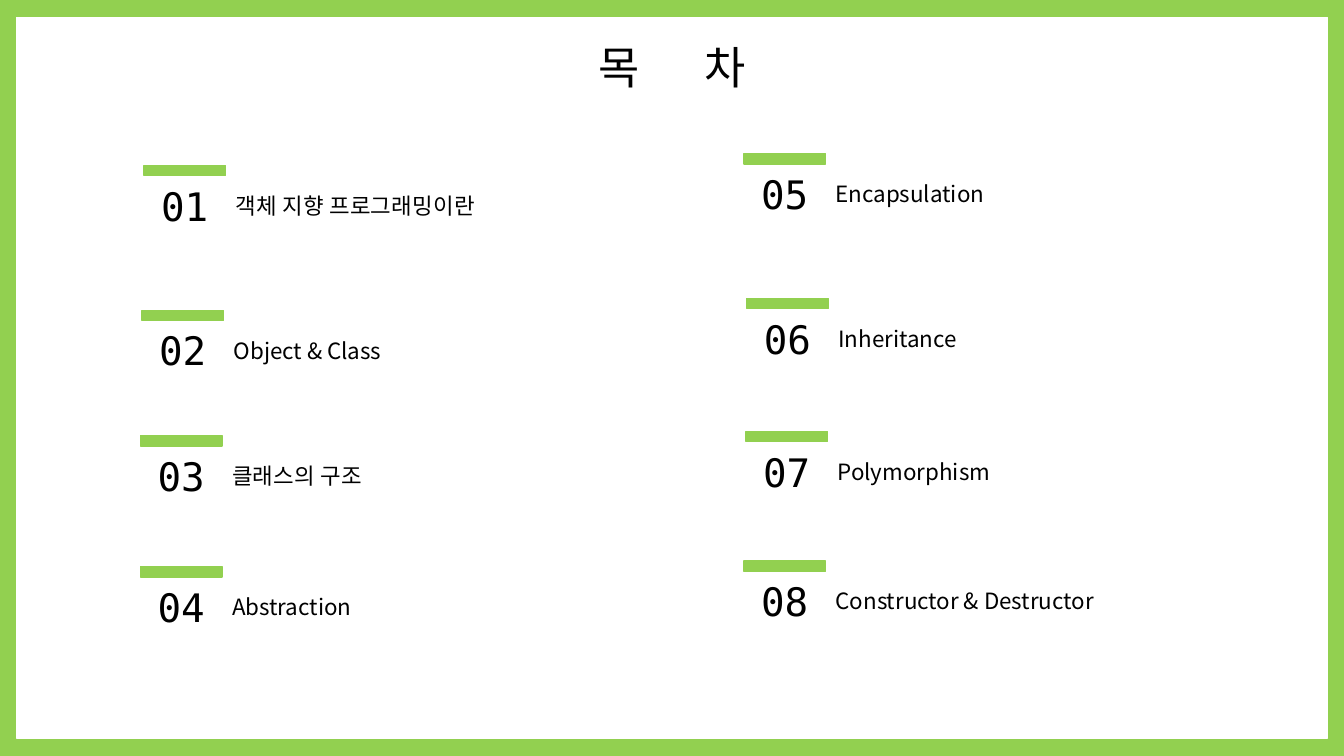
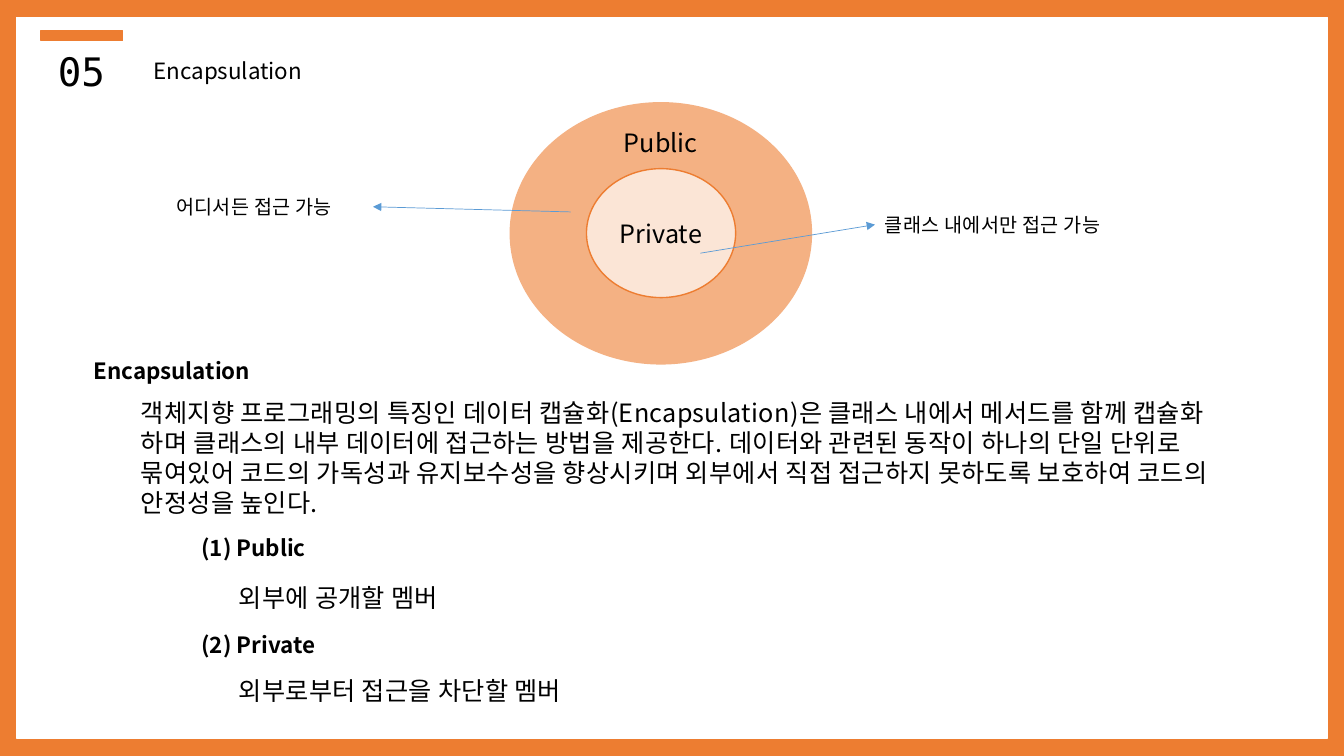
"""Build a contents slide and an encapsulation slide that share one frame and heading style."""
from pptx import Presentation
from pptx.dml.color import RGBColor
from pptx.enum.shapes import MSO_CONNECTOR, MSO_SHAPE
from pptx.enum.text import MSO_ANCHOR, MSO_AUTO_SIZE, PP_ALIGN
from pptx.oxml.ns import qn
from pptx.util import Cm, Pt
from lxml.etree import SubElement

WIDE, HIGH = 33.87, 19.05
EDGE = 0.41
HUES = {
    "green": "92D050",
    "orange": "ED7D31",
    "peach": "F4B183",
    "cream": "FBE5D6",
    "blue": "5B9BD5",
    "white": "FFFFFF",
    "black": "000000",
}
SANS, MONO = "Noto Sans CJK KR", "DejaVu Sans Mono"
FONTS = {
    "title": {"name": SANS, "size": Pt(32)},
    "number": {"name": MONO, "size": Pt(28)},
    "label": {"name": SANS, "size": Pt(16)},
    "head": {"name": SANS, "size": Pt(16), "bold": True},
    "body": {"name": SANS, "size": Pt(18)},
    "note": {"name": SANS, "size": Pt(14)},
}
TOPICS = [
    (3.63, 4.17, "객체 지향 프로그래밍이란", 7.37),
    (3.58, 7.82, "Object & Class", 7.37),
    (3.54, 10.98, "클래스의 구조", 7.37),
    (3.54, 14.28, "Abstraction", 7.37),
    (18.75, 3.87, "Encapsulation", 7.37),
    (18.82, 7.52, "Inheritance", 7.37),
    (18.8, 10.87, "Polymorphism", 7.37),
    (18.75, 14.14, "Constructor & Destructor", 9.98),
]
POINTS = [
    (13.34, 14.55, "(1) Public", "외부에 공개할 멤버"),
    (15.77, 16.89, "(2) Private", "외부로부터 접근을 차단할 멤버"),
]
STORY = (
    "객체지향 프로그래밍의 특징인 데이터 캡슐화(Encapsulation)은 클래스 내에서 메서드를 함께 캡슐화 "
    "하며 클래스의 내부 데이터에 접근하는 방법을 제공한다. 데이터와 관련된 동작이 하나의 단일 단위로 "
    "묶여있어 코드의 가독성과 유지보수성을 향상시키며 외부에서 직접 접근하지 못하도록 보호하여 코드의 "
    "안정성을 높인다."
)


def tint(hue):
    return RGBColor.from_string(HUES[hue])


def write(para, text, style, gap=0):
    run = para.add_run()
    run.text = text
    for key, value in FONTS[style].items():
        setattr(run.font, key, value)
    run.font.color.rgb = tint("black")
    props = run.font._element
    SubElement(props, qn("a:ea")).set("typeface", FONTS[style]["name"])
    if gap:
        props.set("spc", str(gap))


def add_text(shapes, place, text, style, align=PP_ALIGN.LEFT):
    box = shapes.add_textbox(*map(Cm, place))
    frame = box.text_frame
    frame.word_wrap = True
    frame.auto_size = MSO_AUTO_SIZE.SHAPE_TO_FIT_TEXT
    para = frame.paragraphs[0]
    para.alignment = align
    if text:
        hangul = max(text) >= "가"
        write(para, text, style, gap=20 if hangul else 0)
    return box


def add_form(shapes, kind, place, fill, line=None):
    form = shapes.add_shape(kind, *map(Cm, place))
    form.shadow.inherit = False
    form.fill.solid()
    form.fill.fore_color.rgb = tint(fill)
    if line:
        form.line.color.rgb = tint(line)
        form.line.width = Pt(1)
    else:
        form.line.fill.background()
    return form


def add_arrow(shapes, start, end):
    arrow = shapes.add_connector(MSO_CONNECTOR.STRAIGHT, *map(Cm, start + end))
    arrow.line.color.rgb = tint("blue")
    arrow.line.width = Pt(0.5)
    SubElement(arrow.line._get_or_add_ln(), qn("a:tailEnd")).set("type", "triangle")
    SubElement(arrow._element.spPr, qn("a:effectLst"))
    return arrow


def add_entry(shapes, x, y, number, label, hue, width=7.37, shift=2.06, align=PP_ALIGN.LEFT):
    group = shapes.add_group_shape().shapes
    add_text(group, (x - 0.46, y + 0.29, 2.97, 1.45), f"{number:02}", "number", PP_ALIGN.CENTER)
    add_form(group, MSO_SHAPE.RECTANGLE, (x, y, 2.06, 0.26), hue, hue)
    add_text(group, (x + shift, y + 0.54, width, 0.94), label, "label", align)


def add_page(deck, hue):
    shapes = deck.slides.add_slide(deck.slide_layouts[6]).shapes
    add_form(shapes, MSO_SHAPE.RECTANGLE, (0, 0, WIDE, HIGH), hue)
    inner = (EDGE, 0.44, WIDE - 2 * EDGE, 18.16)
    add_form(shapes, MSO_SHAPE.RECTANGLE, inner, "white", "white")
    return shapes


def add_rings(shapes):
    group = shapes.add_group_shape().shapes
    add_form(group, MSO_SHAPE.OVAL, (12.86, 2.59, 7.59, 6.58), "peach", "peach")
    core = add_form(group, MSO_SHAPE.OVAL, (14.78, 4.25, 3.76, 3.25), "cream", "orange")
    core.text_frame.vertical_anchor = MSO_ANCHOR.MIDDLE
    para = core.text_frame.paragraphs[0]
    para.alignment = PP_ALIGN.CENTER
    write(para, "Private", "body")
    add_text(group, (14.46, 3.09, 4.39, 1.02), "Public", "body", PP_ALIGN.CENTER)


def add_index(deck):
    shapes = add_page(deck, "green")
    title = add_text(shapes, (13.26, 0.88, 7.37, 1.62), "", "title", PP_ALIGN.CENTER)
    para = title.text_frame.paragraphs[0]
    write(para, "목 ", "title", gap=1950)
    write(para, "차", "title")
    for number, (x, y, label, width) in enumerate(TOPICS, 1):
        add_entry(shapes, x, y, number, label, "green", width)


def add_detail(deck):
    shapes = add_page(deck, "orange")
    add_entry(shapes, 1.03, 0.77, 5, "Encapsulation", "orange", shift=1.03, align=PP_ALIGN.CENTER)
    add_rings(shapes)
    add_text(shapes, (4.19, 4.78, 6.93, 0.86), "어디서든 접근 가능", "note")
    inside = add_text(shapes, (22.05, 5.23, 6.93, 0.86), "클래스 내에서만 접근 가능", "note")
    add_arrow(shapes, (14.38, 5.34), (9.4, 5.21))
    add_arrow(shapes, (17.65, 6.38), (22.05, 5.66)).end_connect(inside, 1)
    add_text(shapes, (2.11, 8.88, 15.29, 0.94), "Encapsulation", "head")
    add_text(shapes, (3.3, 9.88, 27.8, 3.33), STORY, "body")
    for top, low, head, body in POINTS:
        add_text(shapes, (4.83, top, 15.29, 0.94), head, "head")
        add_text(shapes, (5.77, low, 26.67, 1.02), body, "body")


def main():
    deck = Presentation()
    deck.slide_width, deck.slide_height = Cm(WIDE), Cm(HIGH)
    add_index(deck)
    add_detail(deck)
    deck.save("out.pptx")


if __name__ == "__main__":
    main()
